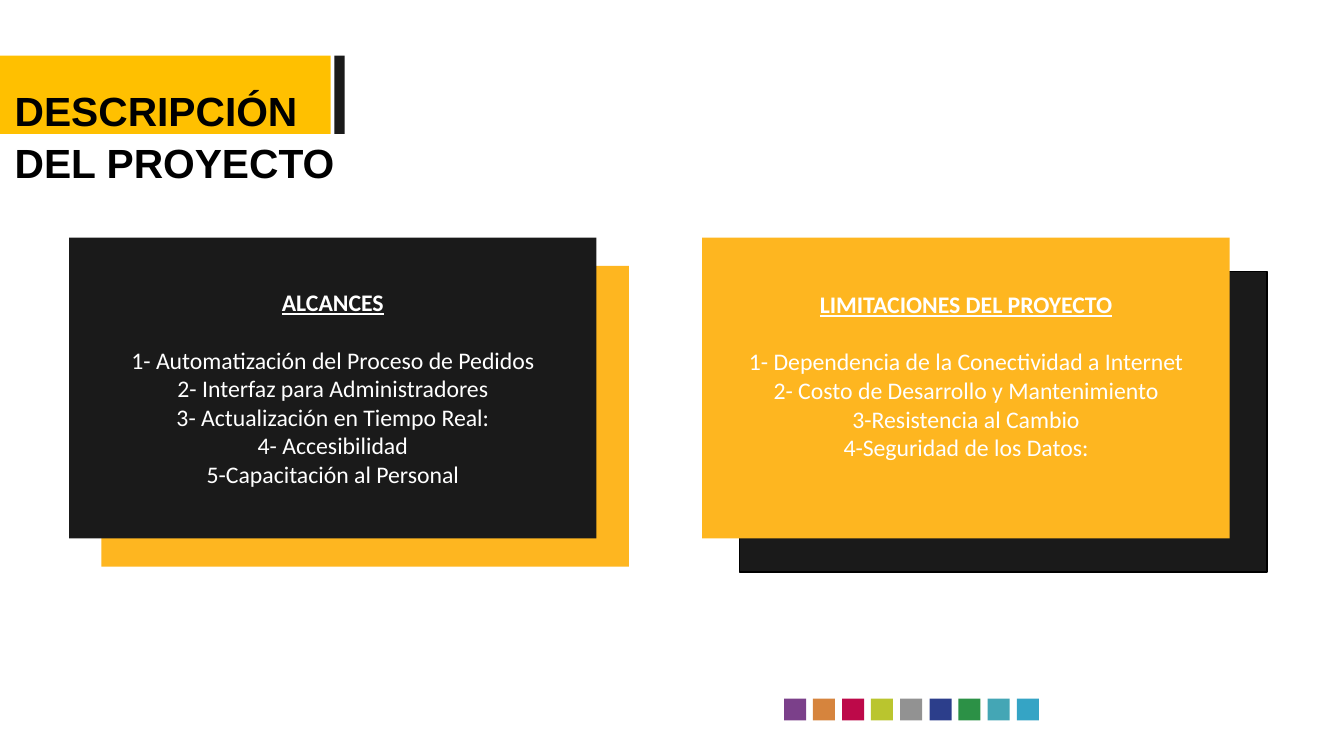
from pptx import Presentation
from pptx.dml.color import RGBColor
from pptx.enum.shapes import MSO_SHAPE
from pptx.enum.text import MSO_ANCHOR, MSO_AUTO_SIZE, PP_ALIGN
from pptx.util import Emu, Pt

PX = 9144  # EMU in one px, 100 px to the inch
COLORS = {
    "banner": "FFC000",
    "amber": "FEB620",
    "dark": "1A1A1A",
    "black": "000000",
    "white": "FFFFFF",
}
SWATCHES = ["7B408A", "D6843D", "BD0949", "BAC52E", "929292",
            "2C3E8B", "2C9146", "44A6B5", "35A4C5"]
CARD_WIDTH, CARD_HEIGHT = 863, 492
SCOPE = [
    "1- Automatización del Proceso de Pedidos",
    "2- Interfaz para Administradores",
    "3- Actualización en Tiempo Real:",
    "4- Accesibilidad",
    "5-Capacitación al Personal",
]
LIMITS = [
    "1- Dependencia de la Conectividad a Internet",
    "2- Costo de Desarrollo y Mantenimiento",
    "3-Resistencia al Cambio",
    "4-Seguridad de los Datos:",
]


def px(length):
    return Emu(length * PX)


def add_block(slide, left, top, width, height, fill, outline=None):
    block = slide.shapes.add_shape(
        MSO_SHAPE.RECTANGLE, px(left), px(top), px(width), px(height))
    block.shadow.inherit = False
    block.fill.solid()
    block.fill.fore_color.rgb = RGBColor.from_string(fill)
    if outline:
        block.line.color.rgb = RGBColor.from_string(outline)
        block.line.width = Pt(2)
    else:
        block.line.fill.background()
    return block


def add_run(paragraph, text, font_name, size, color, bold=False, underline=False):
    run = paragraph.add_run()
    run.text = text
    run.font.name = font_name
    run.font.size = Pt(size)
    run.font.bold = bold
    run.font.underline = underline
    run.font.color.rgb = RGBColor.from_string(color)


def add_card(slide, left, top, fill, heading, items, bottom_inset=5):
    """Add a filled card with an underlined heading above centred items."""
    card = add_block(slide, left, top, CARD_WIDTH, CARD_HEIGHT, fill)
    frame = card.text_frame
    frame.word_wrap = True
    frame.vertical_anchor = MSO_ANCHOR.MIDDLE
    frame.margin_bottom = px(bottom_inset)
    heading_line = frame.paragraphs[0]
    heading_line.alignment = PP_ALIGN.CENTER
    heading_line.space_after = Pt(34)
    add_run(heading_line, heading, "Calibri", 28, COLORS["white"],
            bold=True, underline=True)
    for item in items:
        item_line = frame.add_paragraph()
        item_line.alignment = PP_ALIGN.CENTER
        add_run(item_line, item, "Calibri", 28, COLORS["white"])


def place_title(slide, text):
    """Fill the title placeholder and bring it in front of the banner."""
    title = slide.shapes.title
    title.left, title.top = px(24), px(137)
    title.width, title.height = px(537), px(242)
    frame = title.text_frame
    frame.margin_left = frame.margin_right = 0
    frame.margin_top = frame.margin_bottom = 0
    frame.word_wrap = True
    frame.auto_size = MSO_AUTO_SIZE.NONE
    frame.vertical_anchor = MSO_ANCHOR.TOP
    heading_line = frame.paragraphs[0]
    heading_line.alignment = PP_ALIGN.LEFT
    heading_line.line_spacing = 1.05
    add_run(heading_line, text, "Arial", 48, COLORS["black"], bold=True)
    title.element.getparent().append(title.element)


def add_swatches(slide):
    for index, color in enumerate(SWATCHES):
        add_block(slide, 1283 + index * 381 // 8, 1143, 36, 36, color)


def main():
    presentation = Presentation()
    presentation.slide_width, presentation.slide_height = px(2199), px(1237)
    slide = presentation.slides.add_slide(presentation.slide_layouts[5])

    add_block(slide, 0, 91, 541, 128, COLORS["banner"])
    add_block(slide, 547, 91, 17, 128, COLORS["dark"])
    place_title(slide, "DESCRIPCIÓN DEL PROYECTO")
    add_swatches(slide)

    add_block(slide, 166, 435, CARD_WIDTH, CARD_HEIGHT, COLORS["amber"])
    add_card(slide, 113, 389, COLORS["dark"], "ALCANCES", SCOPE)
    add_block(slide, 1210, 444, CARD_WIDTH, CARD_HEIGHT, COLORS["dark"],
              outline=COLORS["black"])
    add_card(slide, 1149, 389, COLORS["amber"], "LIMITACIONES DEL PROYECTO",
             LIMITS, bottom_inset=46)

    presentation.save("out.pptx")


if __name__ == "__main__":
    main()
